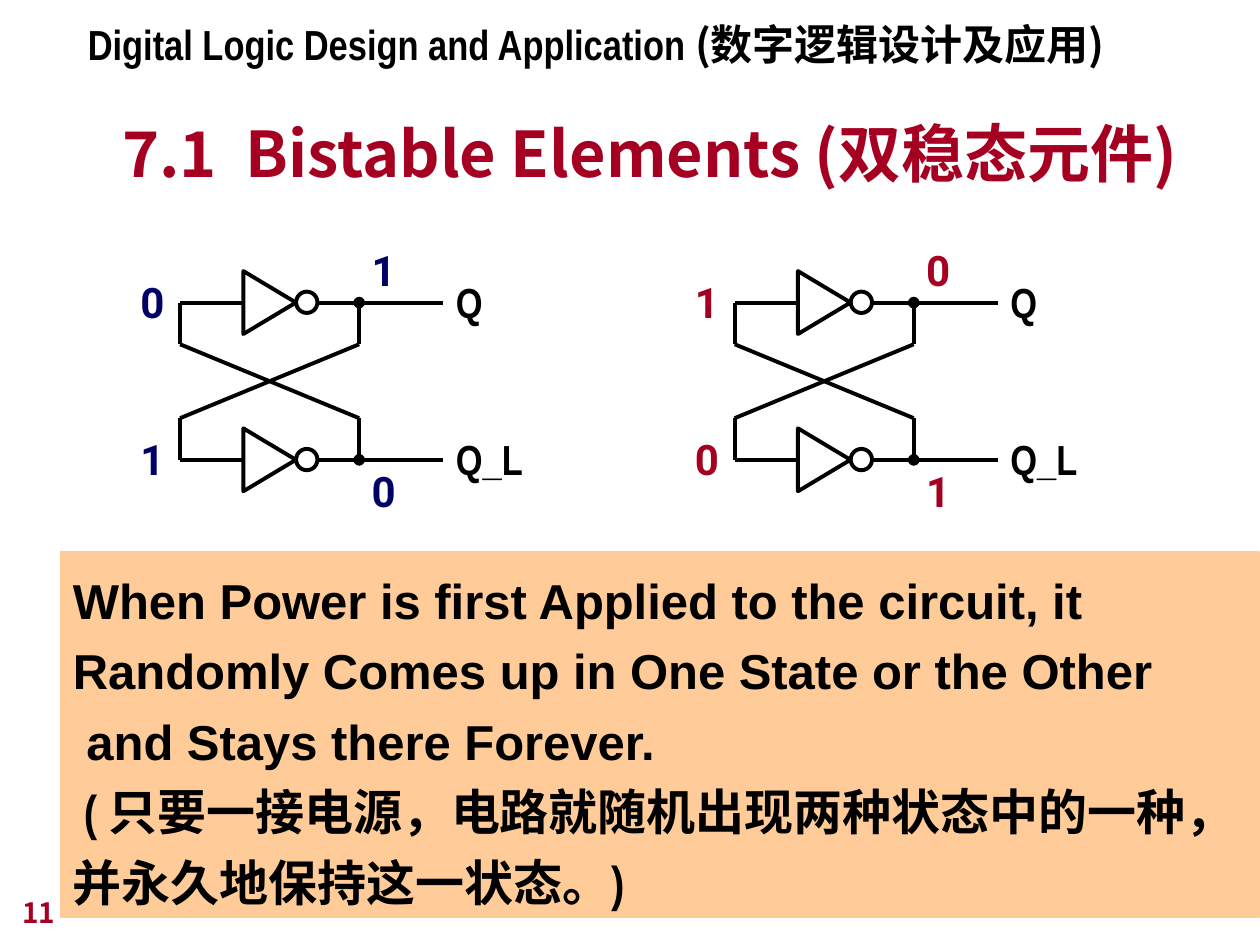
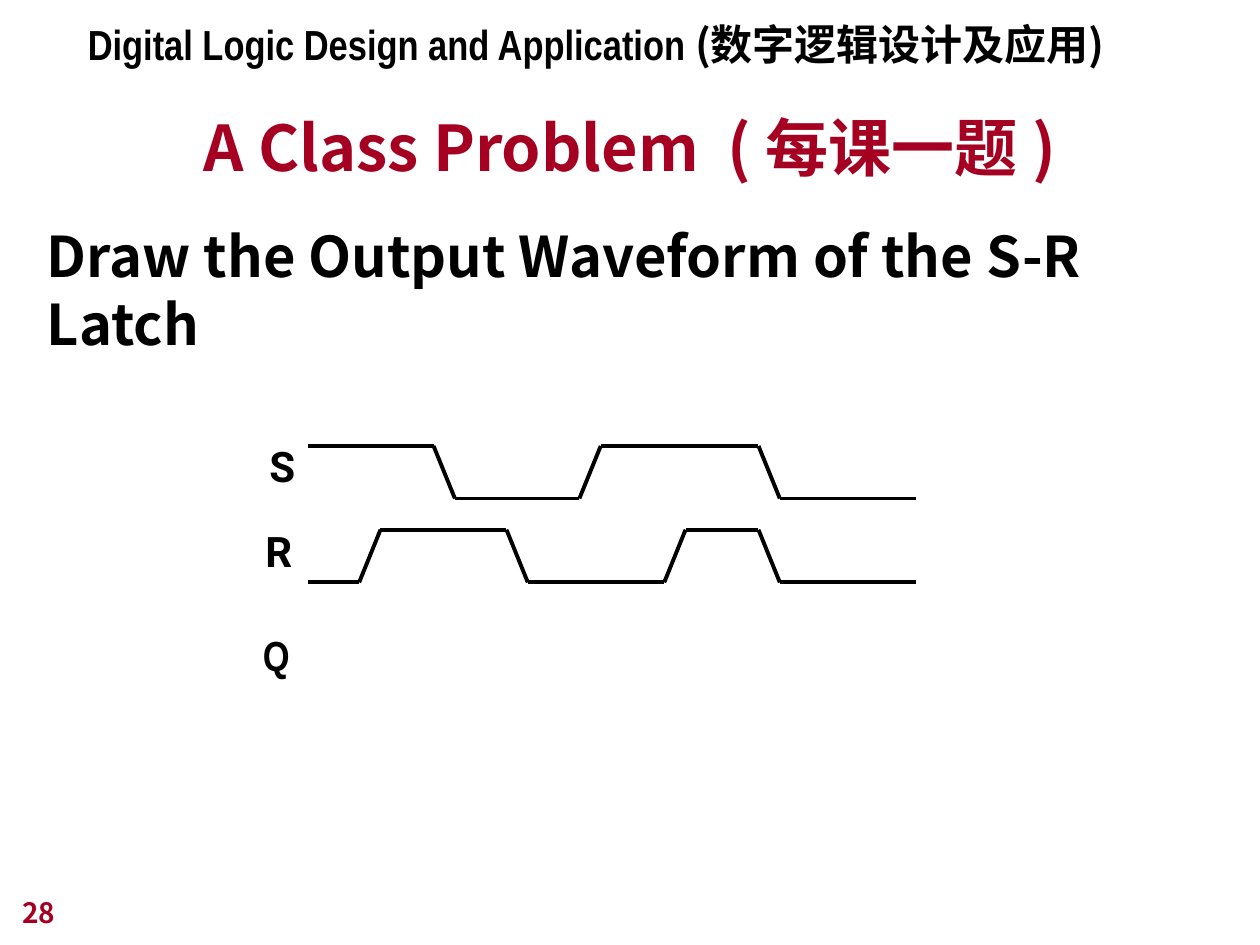
from dataclasses import dataclass
from itertools import pairwise

from lxml.etree import SubElement
from pptx import Presentation
from pptx.dml.color import RGBColor
from pptx.enum.shapes import MSO_CONNECTOR, MSO_SHAPE
from pptx.enum.text import MSO_ANCHOR, MSO_AUTO_SIZE, PP_ALIGN
from pptx.oxml.ns import qn
from pptx.util import Cm, Pt


@dataclass(frozen=True)
class Theme:
    ink: str = "000000"
    red: str = "A50021"
    navy: str = "000066"
    panel: str = "FFCC99"
    cjk: str = "Noto Sans CJK JP"
    narrow: str = "Arial Narrow"
    sans: str = "Arial"
    digit: str = "Roboto"
    title: int = 36
    task: int = 32
    body: int = 28
    label: int = 24
    number: int = 16
    stroke: float = 2.25


THEME = Theme()


# Text
def add_span(para, text, font=THEME.narrow, size=THEME.label, color=THEME.ink):
    span = para.add_run()
    span.text = text
    span.font.name = font
    span.font.size = Pt(size)
    span.font.bold = True
    span.font.color.rgb = RGBColor.from_string(color)
    SubElement(span.font._element, qn("a:ea")).set("typeface", THEME.cjk)


def write(frame, text, align=PP_ALIGN.LEFT, anchor=MSO_ANCHOR.TOP, wrap=True,
          fit=MSO_AUTO_SIZE.NONE, **style):
    frame.word_wrap = wrap
    frame.auto_size = fit
    frame.vertical_anchor = anchor
    para = frame.paragraphs[0]
    para.alignment = align
    add_span(para, text, **style)
    return para


def add_text(page, text, left, top, width, height, **style):
    box = page.shapes.add_textbox(Cm(left), Cm(top), Cm(width), Cm(height))
    return write(box.text_frame, text, **style)


def add_label(page, text, left, top, width=1.0, **style):
    add_text(page, text, left, top, width, 1.27, wrap=False,
             fit=MSO_AUTO_SIZE.SHAPE_TO_FIT_TEXT, **style)


def set_title(page, text, left, top, width, height, **style):
    title = page.shapes.title
    title.left, title.top = Cm(left), Cm(top)
    title.width, title.height = Cm(width), Cm(height)
    write(title.text_frame, text, anchor=MSO_ANCHOR.BOTTOM, font=THEME.cjk, **style)


# Lines and shapes
def add_line(page, start, end, dot=False):
    line = page.shapes.add_connector(
        MSO_CONNECTOR.STRAIGHT, *(Cm(value) for value in (*start, *end)))
    line.line.color.rgb = RGBColor.from_string(THEME.ink)
    line.line.width = Pt(THEME.stroke)
    if dot:
        SubElement(line.line._get_or_add_ln(), qn("a:headEnd")).set("type", "oval")
    SubElement(line._element.spPr, qn("a:effectLst"))


def add_path(page, points):
    for start, end in pairwise(points):
        add_line(page, start, end)


def add_shape(page, kind, left, top, width, height, fill=None,
              color=THEME.ink, stroke=THEME.stroke):
    shape = page.shapes.add_shape(kind, Cm(left), Cm(top), Cm(width), Cm(height))
    shape.shadow.inherit = False
    if fill:
        shape.fill.solid()
        shape.fill.fore_color.rgb = RGBColor.from_string(fill)
    else:
        shape.fill.background()
    shape.line.color.rgb = RGBColor.from_string(color)
    shape.line.width = Pt(stroke)
    return shape


# Inverter with its input wire, output wire and output name
def add_inverter(page, left, middle, name, name_width):
    gate = add_shape(page, MSO_SHAPE.ISOSCELES_TRIANGLE,
                     left + 1.17, middle - 0.53, 1.27, 1.06)
    gate.rotation = 90
    add_shape(page, MSO_SHAPE.OVAL, left + 2.34, middle - 0.22, 0.43, 0.43)
    add_line(page, (left, middle), (left + 1.27, middle))
    add_line(page, (left + 2.77, middle), (left + 5.31, middle))
    add_label(page, name, left + 5.31, middle - 0.65, name_width)


# Two cross-coupled inverters with the bits of one stable state
def add_bistable(page, left, upper_input, upper_output, color):
    upper, lower, drop = 6.1, 9.27, 0.84
    node = left + 3.61
    add_inverter(page, left, upper, "Q", 1.04)
    add_inverter(page, left, lower, "Q_L", 1.85)
    add_line(page, (node, upper), (node, upper + drop), dot=True)
    add_line(page, (node, lower), (node, lower - drop), dot=True)
    add_path(page, [(left, upper), (left, upper + drop), (node, lower - drop)])
    add_path(page, [(left, lower), (left, lower - drop), (node, upper + drop)])
    bits = [
        (upper_input, left - 1.05, upper - 0.65),
        (upper_output, node, upper - 1.3),
        (upper_output, left - 1.05, lower - 0.65),
        (upper_input, node, lower - 0.02),
    ]
    for bit, x, y in bits:
        add_label(page, bit, x, y, font=THEME.digit, color=color)


# Waveform that changes level at each edge
def add_waveform(page, high, is_high, edges):
    start, end, swing, slope = 6.2, 18.47, 1.06, 0.43
    level = high if is_high else high + swing
    points = [(start, level)]
    for edge in edges:
        points.append((edge, level))
        level = 2 * high + swing - level
        points.append((edge + slope, level))
    add_path(page, points + [(end, level)])


# Parts shared by both slides
def add_page(deck, number):
    page = deck.slides.add_slide(deck.slide_layouts[5])
    header = add_text(page, "Digital Logic Design and Application ",
                      1.52, 0.25, 21.36, 1.27)
    add_span(header, "(数字逻辑设计及应用)", font=THEME.cjk)
    add_text(page, number, 0.2, 17.58, 5.28, 1.27, anchor=MSO_ANCHOR.BOTTOM,
             font=THEME.cjk, size=THEME.number, color=THEME.red)
    return page


def build_bistable_page(deck):
    page = add_page(deck, "11")
    set_title(page, "7.1  Bistable Elements (双稳态元件)", 1.9, 1.85, 22.4, 2.11,
              align=PP_ALIGN.CENTER, wrap=False, size=THEME.title, color=THEME.red)
    add_bistable(page, 3.63, "0", "1", THEME.navy)
    add_bistable(page, 14.81, "1", "0", THEME.red)

    # Power-on remark
    panel = add_shape(page, MSO_SHAPE.RECTANGLE, 1.22, 11.13, 24.16, 7.37,
                      fill=THEME.panel, color=THEME.panel, stroke=0.75)
    remarks = [
        ("When Power is first Applied to the circuit, it", THEME.sans),
        ("Randomly Comes up in One State or the Other", THEME.sans),
        (" and Stays there Forever.", THEME.sans),
        (" ( 只要一接电源，电路就随机出现两种状态中的一种，", THEME.narrow),
        ("并永久地保持这一状态。)", THEME.narrow),
    ]
    frame = panel.text_frame
    frame.word_wrap = False
    frame.vertical_anchor = MSO_ANCHOR.TOP
    for index, (text, font) in enumerate(remarks):
        para = frame.add_paragraph() if index else frame.paragraphs[0]
        para.alignment = PP_ALIGN.LEFT
        para.line_spacing = 1.2
        add_span(para, text, font=font, size=THEME.body)


def build_problem_page(deck):
    page = add_page(deck, "28")
    add_text(page, "A Class Problem  ( 每课一题 )", 1.9, 1.73, 21.59, 2.11,
             align=PP_ALIGN.CENTER, anchor=MSO_ANCHOR.BOTTOM,
             font=THEME.cjk, size=THEME.title, color=THEME.red)
    set_title(page, "Draw the Output Waveform of the S-R Latch",
              0.69, 4.11, 24.21, 3.2, size=THEME.task)

    # Input waveforms and the output to be drawn
    add_label(page, "S", 5.18, 8.76, font=THEME.digit)
    add_waveform(page, 8.99, True, [8.74, 11.68, 15.29])
    add_label(page, "R", 5.1, 10.46, 1.07, font=THEME.digit)
    add_waveform(page, 10.68, False, [7.24, 10.21, 13.39, 15.29])
    add_label(page, "Q", 5.05, 12.57, 1.04, align=PP_ALIGN.CENTER)


def main():
    deck = Presentation()
    deck.slide_width, deck.slide_height = Cm(25.4), Cm(19.05)
    build_bistable_page(deck)
    build_problem_page(deck)
    deck.save("out.pptx")


if __name__ == "__main__":
    main()
